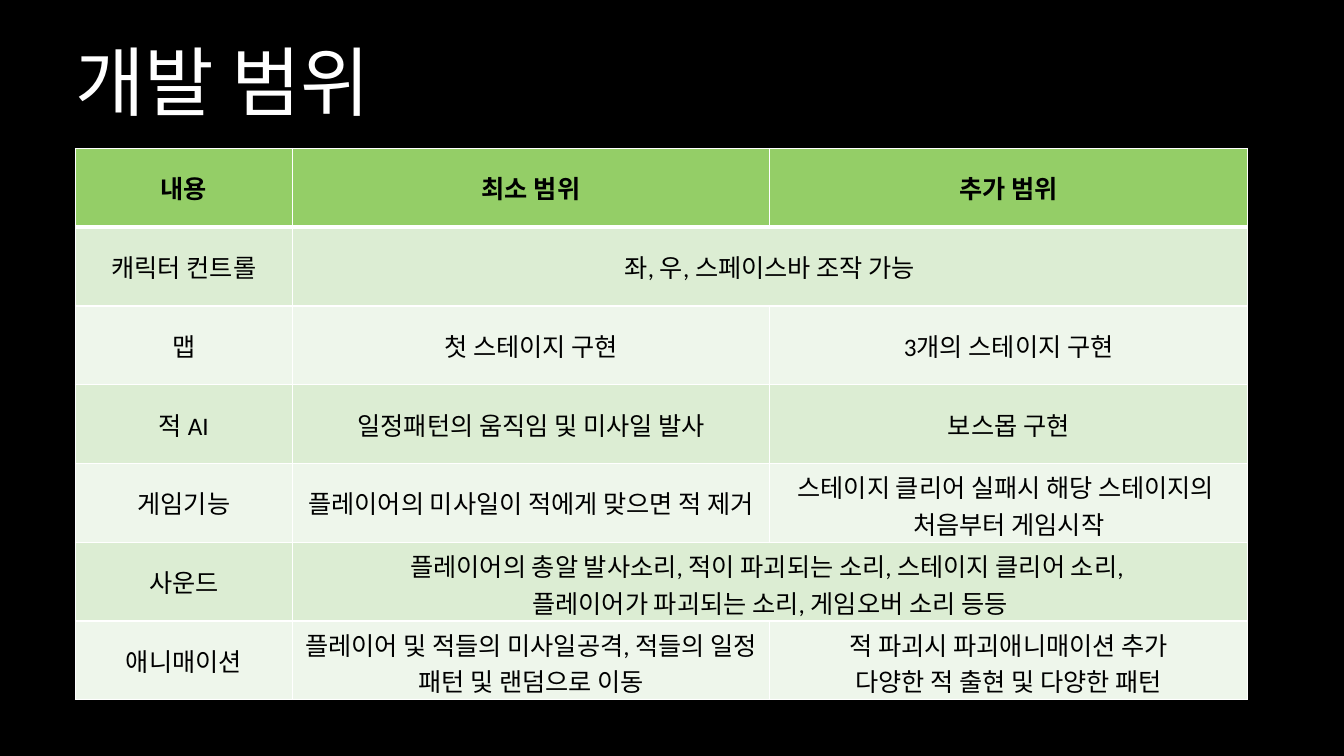
from lxml import etree
from pptx import Presentation, util as u
from pptx.dml.color import RGBColor
from pptx.enum import text
from pptx.oxml.ns import qn

COLORS = {
    "background": "000000",
    "title": "FFFFFF",
    "body": "000000",
    "border": "FFFFFF",
    "header": "94CE67",
    "odd": "DCEDD3",
    "even": "EEF6EB",
}
TITLE_FORMAT = {"name": "Calibri", "size": u.Pt(54), "bold": False}
HEADER_FORMAT = {"name": "Calibri", "size": u.Pt(18), "bold": True}
BODY_FORMAT = {**HEADER_FORMAT, "bold": False}

COLUMN_SHARES = (0.185, 0.4075, 0.4075)
SCOPE_ROWS = [
    ["내용", "최소 범위", "추가 범위"],
    ["캐릭터 컨트롤", "좌, 우, 스페이스바 조작 가능"],
    ["맵", "첫 스테이지 구현", "3개의 스테이지 구현"],
    ["적 AI", "일정패턴의 움직임 및 미사일 발사", "보스몹 구현"],
    ["게임기능", "플레이어의 미사일이 적에게 맞으면 적 제거",
     "스테이지 클리어 실패시 해당 스테이지의 \n처음부터 게임시작"],
    ["사운드", "플레이어의 총알 발사소리, 적이 파괴되는 소리, 스테이지 클리어 소리, \n"
     "플레이어가 파괴되는 소리, 게임오버 소리 등등"],
    ["애니매이션", "플레이어 및 적들의 미사일공격, 적들의 일정 패턴 및 랜덤으로 이동",
     "적 파괴시 파괴애니매이션 추가\n다양한 적 출현 및 다양한 패턴"],
]


def write_text(frame, content, formats, color, alignment):
    """Fill a text frame, one paragraph per line, with the given format."""
    frame.text = content
    for paragraph in frame.paragraphs:
        paragraph.alignment = alignment
        for run in paragraph.runs:
            for name, value in formats.items():
                setattr(run.font, name, value)
            run.font.color.rgb = RGBColor.from_string(COLORS[color])


def add_borders(cell, bottom_width):
    """Draw the four borders of a table cell."""
    properties = cell._tc.get_or_add_tcPr()
    widths = {"a:lnL": 1, "a:lnR": 1, "a:lnT": 1, "a:lnB": bottom_width}
    for index, (tag, width) in enumerate(widths.items()):
        line = etree.Element(qn(tag), w=str(u.Pt(width)))
        fill = etree.SubElement(line, qn("a:solidFill"))
        etree.SubElement(fill, qn("a:srgbClr"), val=COLORS["border"])
        properties.insert(index, line)


def add_title(slide, left, top, width, height):
    """Place the slide title in its box."""
    frame = slide.shapes.add_textbox(left, top, width, height).text_frame
    frame.word_wrap = True
    frame.vertical_anchor = text.MSO_ANCHOR.MIDDLE
    write_text(frame, "개발 범위", TITLE_FORMAT, "title", text.PP_ALIGN.LEFT)


def add_scope_table(slide, left, top, width, height):
    """Place the table of development scope in its box."""
    table = slide.shapes.add_table(
        len(SCOPE_ROWS), len(COLUMN_SHARES), left, top, width, height).table
    for column, share in zip(table.columns, COLUMN_SHARES):
        column.width = int(width * share)
    for row_index, contents in enumerate(SCOPE_ROWS):
        is_header = row_index == 0
        band = "header" if is_header else ("even", "odd")[row_index % 2]
        formats = HEADER_FORMAT if is_header else BODY_FORMAT
        for cell in table.rows[row_index].cells:
            cell.fill.solid()
            cell.fill.fore_color.rgb = RGBColor.from_string(COLORS[band])
            cell.vertical_anchor = text.MSO_ANCHOR.MIDDLE
            add_borders(cell, 3 if is_header else 1)
        if len(contents) < len(COLUMN_SHARES):
            table.cell(row_index, 1).merge(table.cell(row_index, 2))
        for column_index, content in enumerate(contents):
            write_text(table.cell(row_index, column_index).text_frame, content,
                       formats, "body", text.PP_ALIGN.CENTER)


def main():
    """Build and save the development scope slide."""
    presentation = Presentation()
    presentation.slide_width = u.Cm(33.87)
    presentation.slide_height = u.Cm(19.05)
    slide = presentation.slides.add_slide(presentation.slide_layouts[6])
    slide.background.fill.solid()
    slide.background.fill.fore_color.rgb = RGBColor.from_string(COLORS["background"])
    add_title(slide, u.Cm(1.65), u.Cm(0.76), u.Cm(28.14), u.Cm(2.54))
    add_scope_table(slide, u.Cm(1.9), u.Cm(3.74), u.Cm(29.54), u.Cm(13.9))
    presentation.save("out.pptx")


if __name__ == "__main__":
    main()
